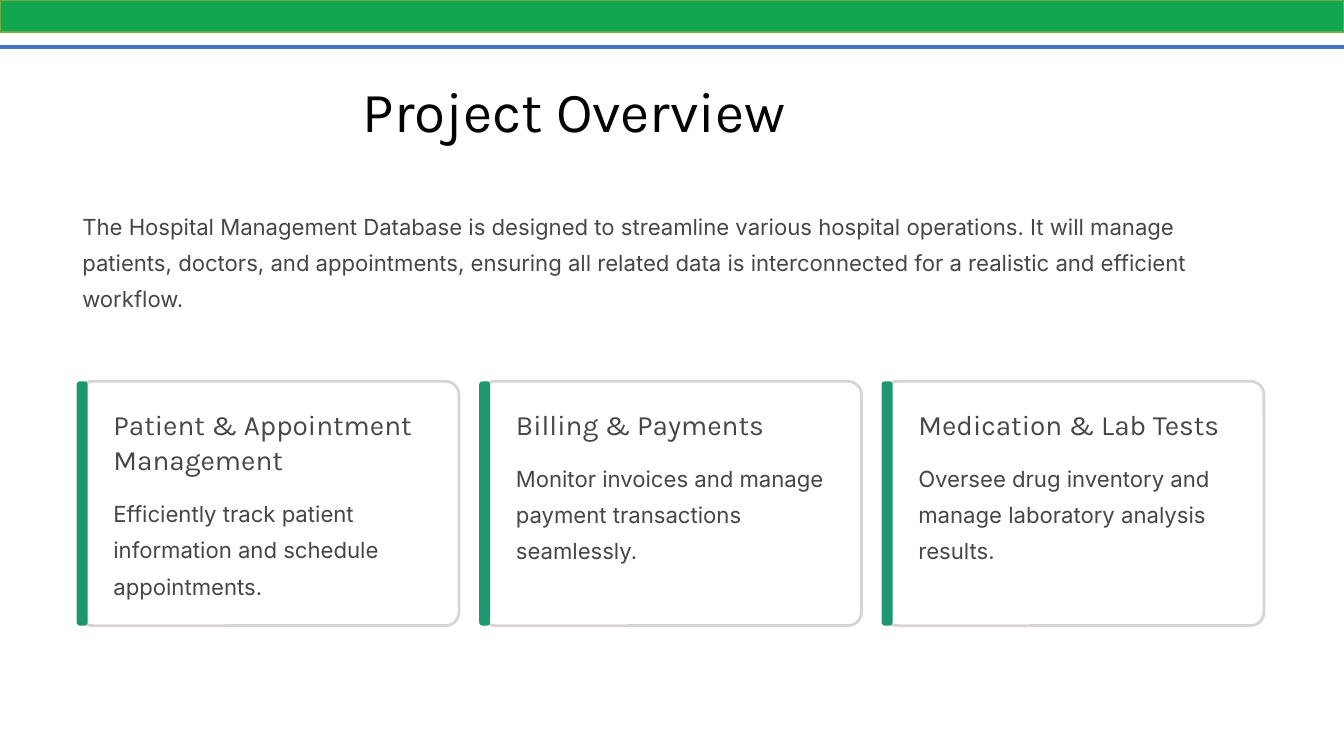
import pptx
import pptx.util
import pptx.dml.color
import pptx.enum.shapes
import pptx.enum.text
import pptx.oxml.ns
import lxml.etree
from dataclasses import dataclass

TITLE = "Project Overview"
INTRO = (
    "The Hospital Management Database is designed to streamline various hospital "
    "operations. It will manage patients, doctors, and appointments, ensuring all "
    "related data is interconnected for a realistic and efficient workflow."
)
CARDS = [
    ("Patient & Appointment Management", 2,
     "Efficiently track patient information and schedule appointments."),
    ("Billing & Payments", 1,
     "Monitor invoices and manage payment transactions seamlessly."),
    ("Medication & Lab Tests", 1,
     "Oversee drug inventory and manage laboratory analysis results."),
]


@dataclass(frozen=True)
class Theme:
    title: tuple = ("Karla", 48.5, 60.5, "030303")
    heading: tuple = ("Karla", 24, 30, "464646")
    body: tuple = ("Inter", 19, 31, "464646")
    card_fill: str = "FFFFFF"
    card_line: str = "D8D4D4"
    accent: str = "1C9770"
    banner_fill: str = "12A64E"
    banner_line: str = "70AD47"
    rule: str = "4472C4"


THEME = Theme()
Cm = pptx.util.Cm
Pt = pptx.util.Pt
SHAPES = pptx.enum.shapes.MSO_SHAPE
SLIDE_WIDTH, SLIDE_HEIGHT = 40.64, 22.86
CARD_LEFT, CARD_TOP, CARD_WIDTH, CARD_HEIGHT = 2.4, 11.53, 11.48, 7.39
CARD_PITCH = 12.17
BAR_WIDTH, BAR_OFFSET = 0.33, -0.08
TEXT_OFFSET, TEXT_WIDTH = 1.03, 9.7
HEADING_TOP, HEADING_LINE, HEADING_GAP = 12.29, 1.08, 0.4
BODY_HEIGHT = 3.3


def color(value):
    return pptx.dml.color.RGBColor.from_string(value)


def write_text(shape, text, style):
    font_name, size, spacing, font_color = style
    frame = shape.text_frame
    frame.text = text
    frame.word_wrap = True
    frame.auto_size = pptx.enum.text.MSO_AUTO_SIZE.NONE
    frame.vertical_anchor = pptx.enum.text.MSO_ANCHOR.TOP
    frame.margin_left = frame.margin_right = 0
    frame.margin_top = frame.margin_bottom = 0
    paragraph = frame.paragraphs[0]
    paragraph.alignment = pptx.enum.text.PP_ALIGN.LEFT
    paragraph.line_spacing = Pt(spacing)
    paragraph.font.name = font_name
    paragraph.font.size = Pt(size)
    paragraph.font.color.rgb = color(font_color)


def add_text(slide, box, text, style):
    write_text(slide.shapes.add_textbox(*map(Cm, box)), text, style)


def add_panel(slide, kind, box, fill, line=None, line_width=1, corner=None):
    shape = slide.shapes.add_shape(kind, *map(Cm, box))
    shape.shadow.inherit = False
    shape.fill.solid()
    shape.fill.fore_color.rgb = color(fill)
    if line:
        shape.line.color.rgb = color(line)
        shape.line.width = Pt(line_width)
    else:
        shape.line.fill.background()
    if corner is not None:
        shape.adjustments[0] = corner


def add_title(slide):
    title = slide.shapes.title
    title.left, title.top, title.width, title.height = map(Cm, (10.97, 2.21, 17.15, 2.13))
    write_text(title, TITLE, THEME.title)


def add_card(slide, index, heading, heading_lines, body):
    left = CARD_LEFT + index * CARD_PITCH
    text_left = left + TEXT_OFFSET
    heading_height = heading_lines * HEADING_LINE
    body_top = HEADING_TOP + heading_height + HEADING_GAP
    add_panel(slide, SHAPES.ROUNDED_RECTANGLE, (left, CARD_TOP, CARD_WIDTH, CARD_HEIGHT),
              THEME.card_fill, THEME.card_line, 2.4, corner=0.055)
    add_panel(slide, SHAPES.ROUNDED_RECTANGLE,
              (left + BAR_OFFSET, CARD_TOP, BAR_WIDTH, CARD_HEIGHT),
              THEME.accent, corner=0.3)
    add_text(slide, (text_left, HEADING_TOP, TEXT_WIDTH, heading_height),
             heading, THEME.heading)
    add_text(slide, (text_left, body_top, TEXT_WIDTH, BODY_HEIGHT), body, THEME.body)


def add_banner(slide):
    add_panel(slide, SHAPES.RECTANGLE, (0, 0, SLIDE_WIDTH, 0.97),
              THEME.banner_fill, THEME.banner_line)
    rule = slide.shapes.add_connector(
        pptx.enum.shapes.MSO_CONNECTOR.STRAIGHT,
        *map(Cm, (0, 1.42, SLIDE_WIDTH, 1.42)))
    rule.line.color.rgb = color(THEME.rule)
    rule.line.width = Pt(3)
    lxml.etree.SubElement(rule._element.spPr, pptx.oxml.ns.qn("a:effectLst"))


def main():
    presentation = pptx.Presentation()
    presentation.slide_width = Cm(SLIDE_WIDTH)
    presentation.slide_height = Cm(SLIDE_HEIGHT)
    slide = presentation.slides.add_slide(presentation.slide_layouts[5])
    add_title(slide)
    add_text(slide, (2.49, 6.15, 35.84, BODY_HEIGHT), INTRO, THEME.body)
    for index, card in enumerate(CARDS):
        add_card(slide, index, *card)
    add_banner(slide)
    presentation.save("out.pptx")


if __name__ == "__main__":
    main()
